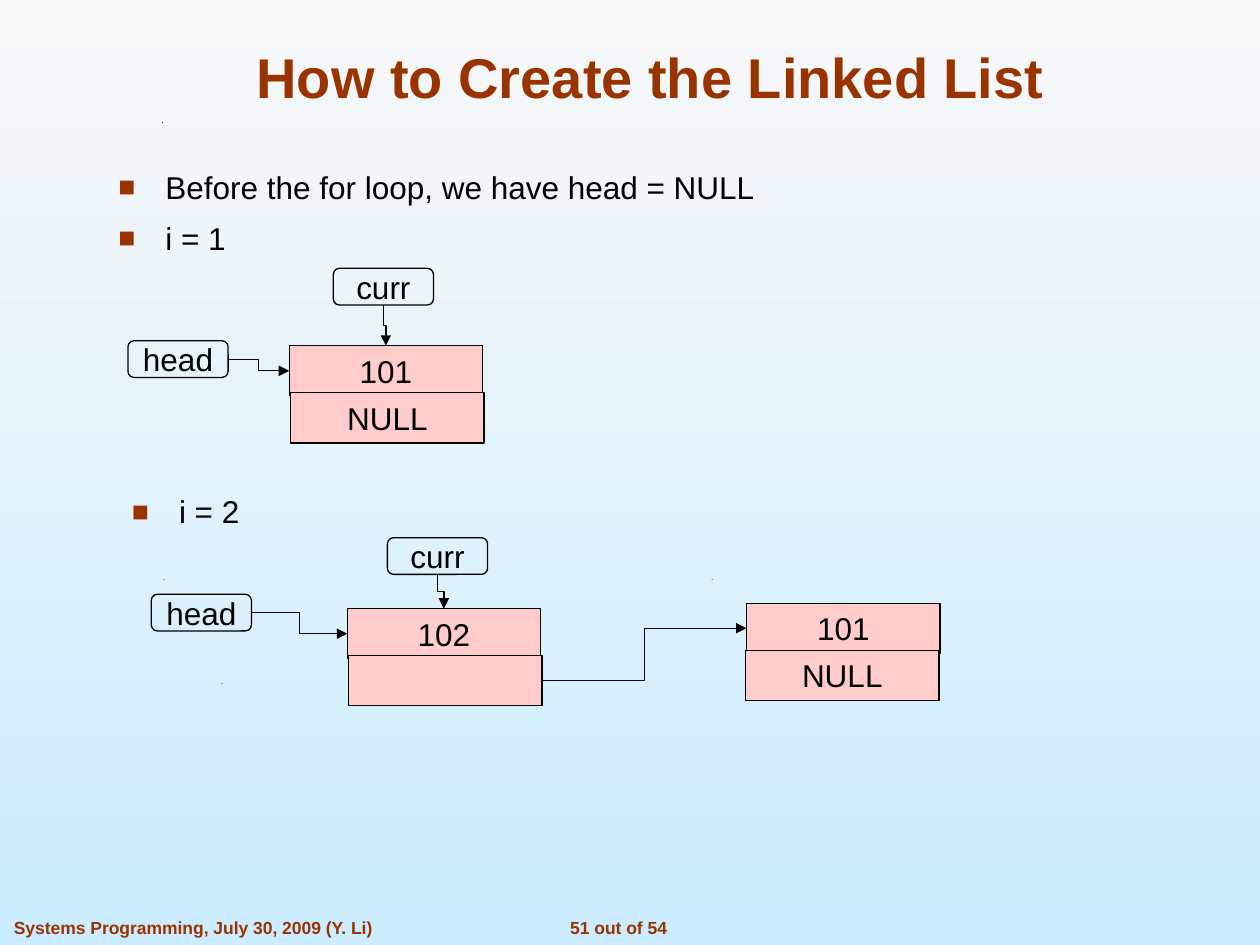
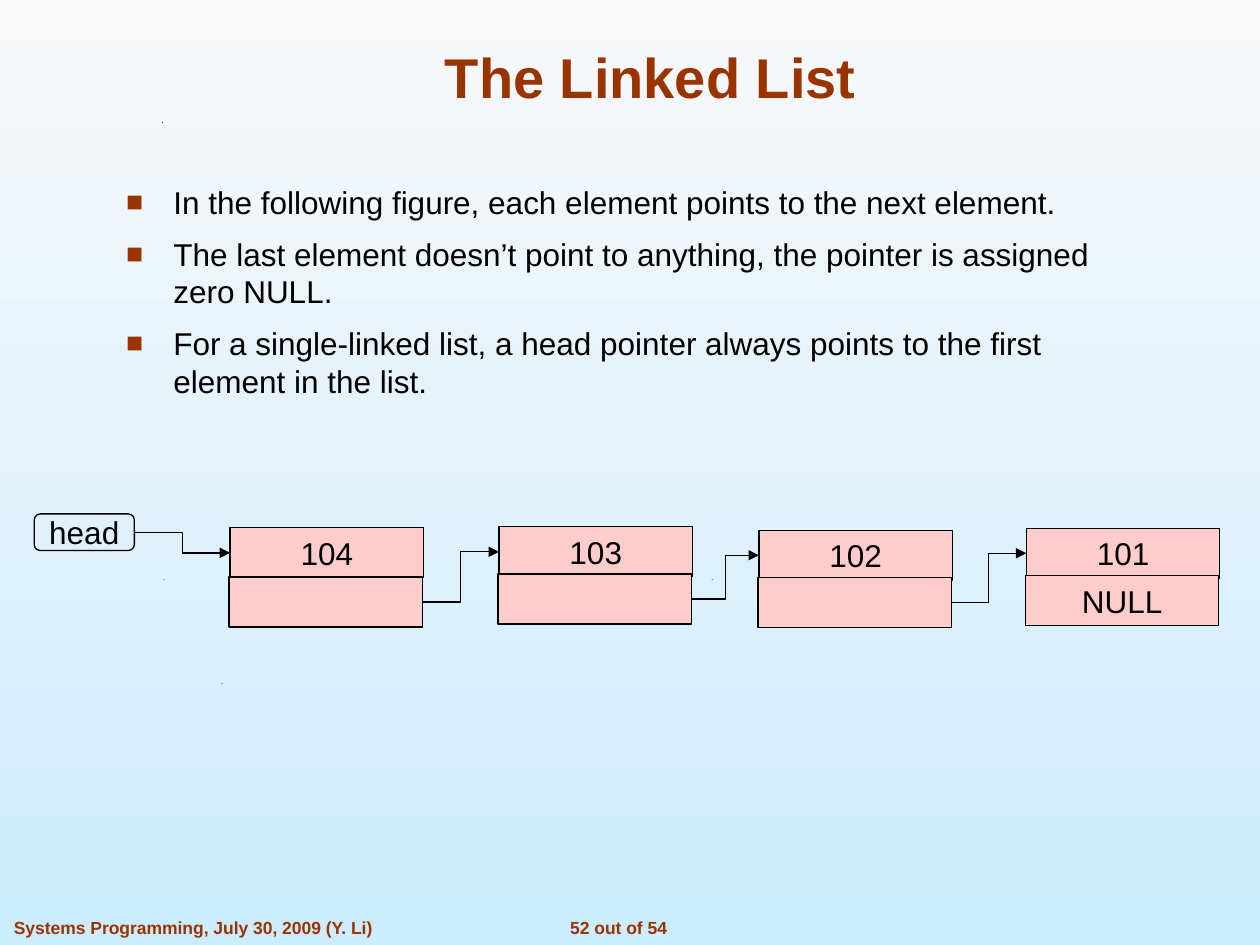
from lxml.etree import SubElement
from pptx import Presentation
from pptx.dml.color import RGBColor
from pptx.enum.shapes import MSO_CONNECTOR, MSO_SHAPE
from pptx.enum.text import MSO_ANCHOR, MSO_AUTO_SIZE, PP_ALIGN
from pptx.oxml.ns import qn
from pptx.util import Cm, Pt

# Shared style
RUST, BLACK, PINK = "993300", "000000", "FFCCCC"
BACKGROUND = ("F8F8F8", "CCECFF")
TOP, LEFT, BOTTOM, RIGHT = range(4)
TITLE = {"size": Pt(32), "name": "Arial", "bold": True}
BODY = {"size": Pt(18), "name": "Arial", "bold": False}
FOOTER = {"size": Pt(10), "name": "Arial", "bold": True}
SPECKS = [(4.47, 13.77), (3.3, 11.68), (14.35, 11.68), (3.27, 2.46)]
LAST_PAGE = 54


def rgb(value):
    return RGBColor.from_string(value)


class Deck:
    def __init__(self):
        self.prs = Presentation()
        self.prs.slide_width, self.prs.slide_height = Cm(25.4), Cm(19.05)
        self.s = None

    def slide(self, title, page):
        self.s = self.prs.slides.add_slide(self.prs.slide_layouts[1])
        fill = self.s.background.fill
        fill.gradient()
        fill.gradient_angle = 270
        for stop, color in zip(fill.gradient_stops, BACKGROUND):
            stop.color.rgb = rgb(color)
        for x, y in SPECKS:
            self.speck(x, y)
        self.footer(10.59, 3.76, f"{page} out of {LAST_PAGE}", PP_ALIGN.CENTER)
        self.footer(0.03, 7.77, "Systems Programming, July 30, 2009 (Y. Li)", PP_ALIGN.LEFT)

        sp = self.s.shapes.title
        self.place(sp, 1.9, 0.64, 22.43, 1.7)
        tf = self.frame(sp, MSO_ANCHOR.BOTTOM)
        self.add_text(tf.paragraphs[0], title, TITLE, RUST, PP_ALIGN.CENTER)

    def place(self, sp, *box):
        for name, value in zip(("left", "top", "width", "height"), box):
            setattr(sp, name, Cm(value))

    def frame(self, sp, anchor, wrap=True):
        tf = sp.text_frame
        tf.auto_size = MSO_AUTO_SIZE.NONE
        tf.word_wrap, tf.vertical_anchor = wrap, anchor
        return tf

    def add_text(self, p, text, style, color, align):
        p.alignment = align
        r = p.add_run()
        r.text = text
        for name, value in style.items():
            setattr(r.font, name, value)
        r.font.color.rgb = rgb(color)

    def speck(self, x, y):
        builder = self.s.shapes.build_freeform(Cm(x), Cm(y))
        builder.add_line_segments([(Cm(x + 0.02), Cm(y)), (Cm(x), Cm(y + 0.02))])
        sp = builder.convert_to_shape()
        self.paint(sp, BLACK)
        sp.line.fill.background()

    def footer(self, x, w, text, align):
        sp = self.s.shapes.add_textbox(Cm(x), Cm(18.37), Cm(w), Cm(0.68))
        tf = self.frame(sp, MSO_ANCHOR.TOP, wrap=False)
        self.add_text(tf.paragraphs[0], text, FOOTER, RUST, align)

    def body(self, items, *box):
        sp = self.s.placeholders[1]
        self.place(sp, *box)
        self.bullets(sp, items)

    def bullet_box(self, items, *box):
        self.bullets(self.s.shapes.add_textbox(*map(Cm, box)), items)

    def bullets(self, sp, items):
        tf = self.frame(sp, MSO_ANCHOR.TOP)
        for i, item in enumerate(items):
            p = tf.add_paragraph() if i else tf.paragraphs[0]
            pPr = p._p.get_or_add_pPr()
            pPr.set("marL", str(Cm(0.95)))
            pPr.set("indent", str(Cm(-0.95)))
            SubElement(SubElement(pPr, qn("a:buClr")), qn("a:srgbClr"), val=RUST)
            SubElement(pPr, qn("a:buSzPct"), val="90000")
            SubElement(pPr, qn("a:buFont"), typeface="Arial")
            SubElement(pPr, qn("a:buChar"), char="■")
            p.space_before = Pt(7.9 if i else 0)
            self.add_text(p, item, BODY, BLACK, PP_ALIGN.LEFT)

    def paint(self, sp, fill):
        sp.shadow.inherit = False
        if fill:
            sp.fill.solid()
            sp.fill.fore_color.rgb = rgb(fill)
        else:
            sp.fill.background()
        sp.line.color.rgb = rgb(BLACK)
        sp.line.width = Pt(0.75)

    def box(self, kind, text, fill, *box):
        sp = self.s.shapes.add_shape(kind, *map(Cm, box))
        self.paint(sp, fill)
        if text:
            tf = self.frame(sp, MSO_ANCHOR.MIDDLE, wrap=False)
            self.add_text(tf.paragraphs[0], text, BODY, BLACK, PP_ALIGN.CENTER)
        return sp

    def pointer(self, name, x, y):
        return self.box(MSO_SHAPE.ROUNDED_RECTANGLE, name, None, x, y, 2.02, 0.74)

    def node(self, value, link, x, y, dx=-0.02, dy=0.95):
        """Draw a value cell above its link cell and return both."""
        return (self.box(MSO_SHAPE.RECTANGLE, value, PINK, x, y, 3.9, 1.01),
                self.box(MSO_SHAPE.RECTANGLE, link, PINK, x + dx, y + dy, 3.9, 1.01))

    def arrow(self, start, end, down=False):
        c = self.s.shapes.add_connector(MSO_CONNECTOR.ELBOW, 0, 0, 0, 0)
        c.begin_connect(start, BOTTOM if down else RIGHT)
        c.end_connect(end, TOP if down else LEFT)
        if down:
            self.turn_down(c)
        c.line.color.rgb = rgb(BLACK)
        c.line.width = Pt(0.75)
        spPr = c._element.spPr
        SubElement(spPr.find(qn("a:ln")), qn("a:tailEnd"), type="triangle")
        SubElement(spPr, qn("a:effectLst"))

    def turn_down(self, c):
        # Rotate the elbow so that it leaves and arrives vertically
        x, y, w, h = c.left, c.top, c.width, c.height
        c.left, c.top = x + (w - h) // 2, y + (h - w) // 2
        c.width, c.height = h, w
        xfrm = c._element.spPr.find(qn("a:xfrm"))
        xfrm.set("rot", "16200000")
        xfrm.set("flipH", "1")


def creation_slide(deck):
    deck.slide("How to Create the Linked List", 51)
    deck.body(["Before the for loop, we have head = NULL", "i = 1"], 2.13, 3.25, 20.42, 2.13)

    # First pass: one element
    first, _ = deck.node("101", "NULL", 5.83, 6.97, dx=0.03)
    deck.arrow(deck.pointer("head", 2.58, 6.87), first)
    deck.arrow(deck.pointer("curr", 6.72, 5.41), first, down=True)

    # Second pass: new element in front
    deck.bullet_box(["i = 2"], 2.41, 9.8, 20.42, 1.19)
    old, _ = deck.node("101", "NULL", 15.05, 12.16)
    new, link = deck.node("102", "", 7.0, 12.27, dx=0.03)
    deck.arrow(deck.pointer("head", 3.05, 11.98), new)
    deck.arrow(deck.pointer("curr", 7.81, 10.84), new, down=True)
    deck.arrow(link, old)


def list_slide(deck):
    deck.slide("The Linked List", 52)
    deck.body([
        "In the following figure, each element points to the next element.",
        "The last element doesn’t point to anything, the pointer is assigned zero NULL.",
        "For a single-linked list, a head pointer always points to the first element in the list.",
    ], 2.29, 3.56, 20.42, 4.88)

    # Chain from head to the last element
    source = deck.pointer("head", 0.69, 10.36)
    chain = [("104", "", 4.64, 10.64, -0.02, 0.99), ("103", "", 10.06, 10.62),
             ("102", "", 15.3, 10.69), ("101", "NULL", 20.69, 10.65)]
    for element in chain:
        top, link = deck.node(*element)
        deck.arrow(source, top)
        source = link


def main():
    deck = Deck()
    creation_slide(deck)
    list_slide(deck)
    deck.prs.save("out.pptx")


if __name__ == "__main__":
    main()
